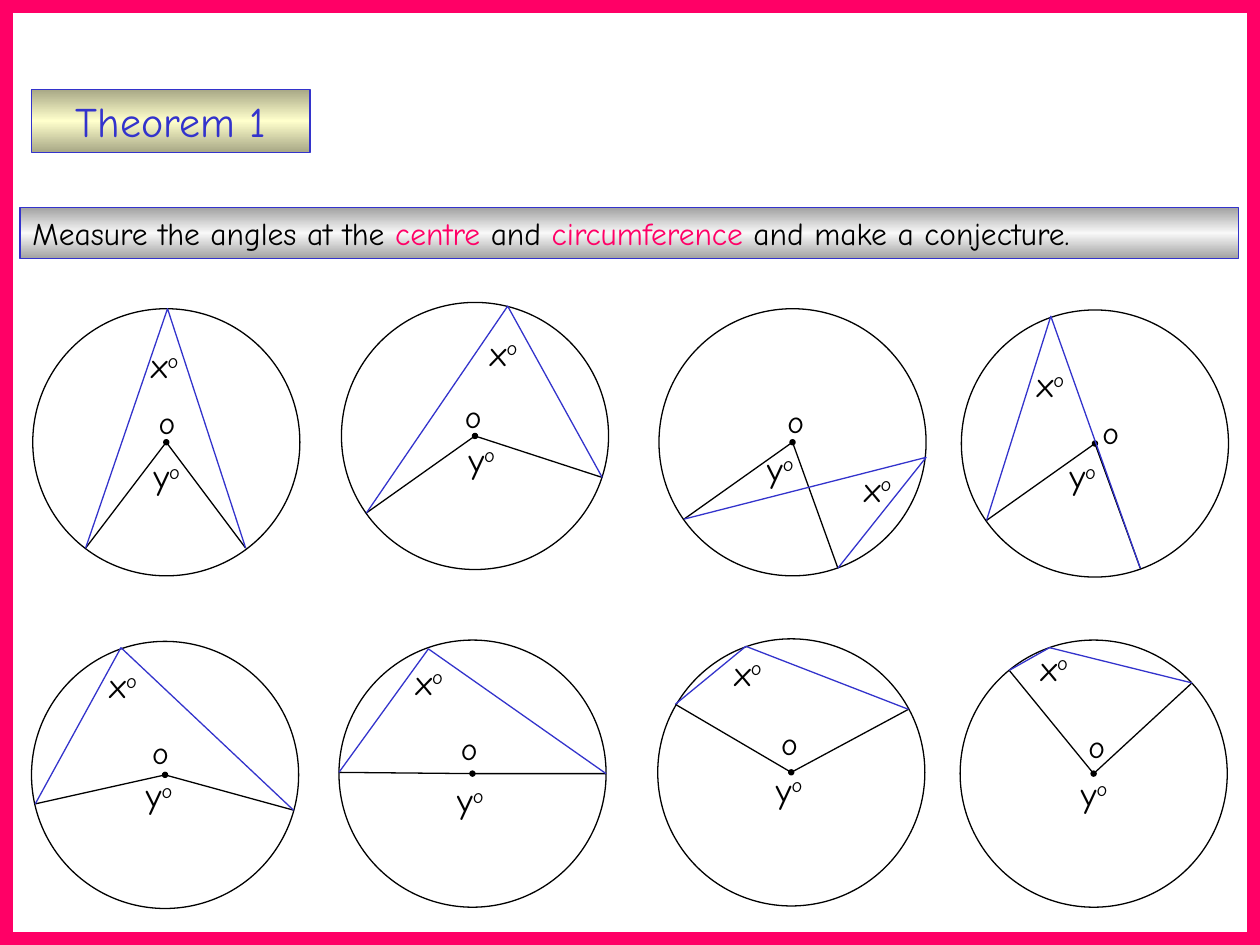
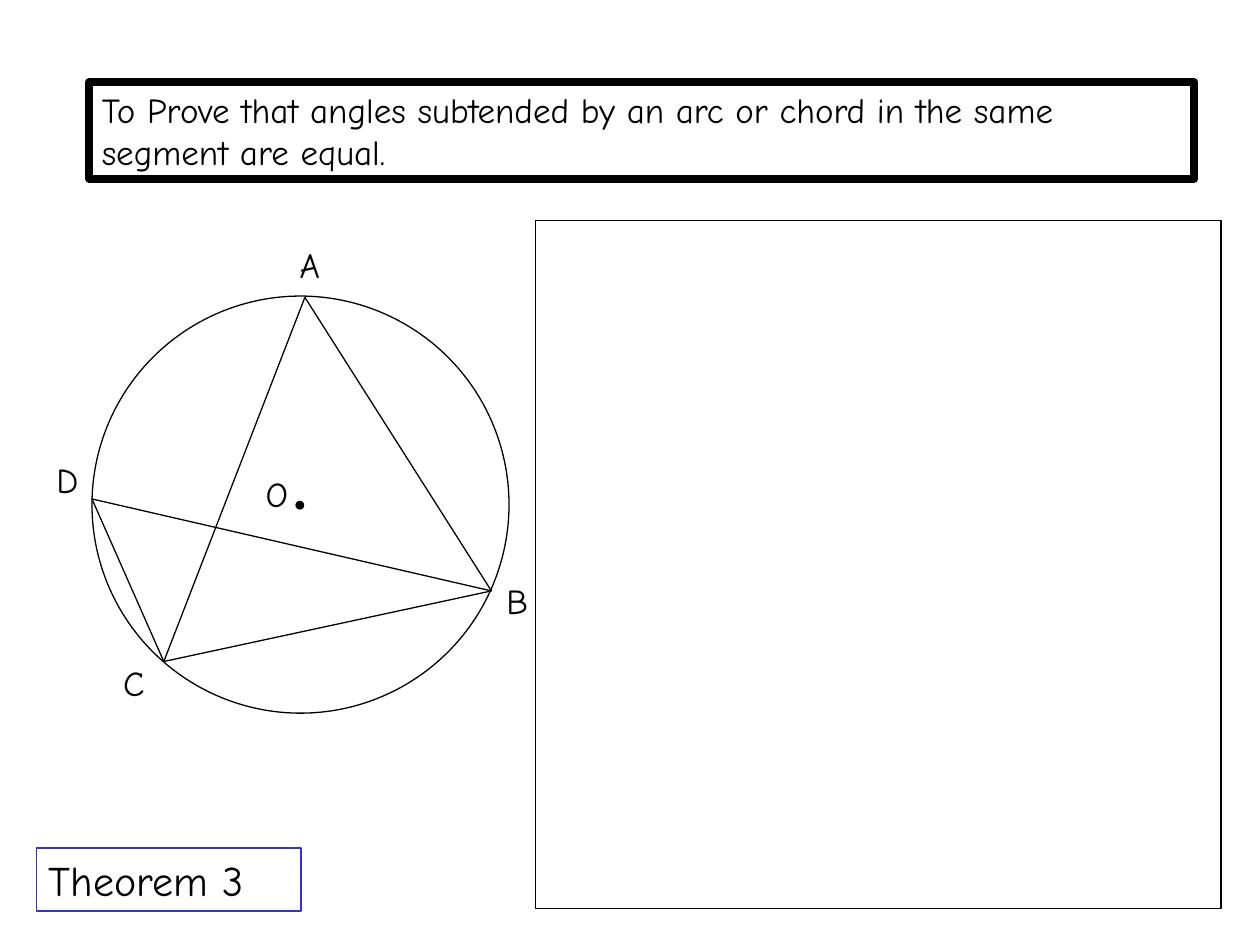
from copy import deepcopy
from dataclasses import dataclass

from pptx import Presentation
from pptx.dml.color import RGBColor
from pptx.enum.shapes import MSO_CONNECTOR, MSO_SHAPE
from pptx.enum.text import PP_ALIGN
from pptx.oxml.ns import qn
from pptx.util import Inches, Pt
from lxml import etree

RECT, OVAL = MSO_SHAPE.RECTANGLE, MSO_SHAPE.OVAL
STRAIGHT = MSO_CONNECTOR.STRAIGHT
LEFT, CENTER = PP_ALIGN.LEFT, PP_ALIGN.CENTER


@dataclass(frozen=True)
class Theme:
    font: str = "Comic Neue"
    black: str = "000000"
    blue: str = "3333CC"
    pink: str = "FF0066"
    cream: tuple = ("A8A886", "FFFFCC", "A8A886")
    silver: tuple = ("A3A3A3", "F8F8F8", "A3A3A3")
    title: int = 24
    body: int = 20
    small: int = 18
    thin: float = 0.75
    thick: float = 4.5
    frame: float = 15


THEME = Theme()


def add_outlined(slide, kind, box, line=THEME.black, weight=THEME.thin, fill=None):
    """Add a preset shape; fill is None, one colour, or three vertical gradient stops."""
    shape = slide.shapes.add_shape(kind, *map(Inches, box))
    shape.shadow.inherit = False
    shape.line.color.rgb = RGBColor.from_string(line)
    shape.line.width = Pt(weight)
    if fill is None:
        shape.fill.background()
    elif isinstance(fill, str):
        shape.fill.solid()
        shape.fill.fore_color.rgb = RGBColor.from_string(fill)
    else:
        shape.fill.gradient()
        shape.fill.gradient_angle = 270
        stop_list = shape._element.spPr.find(qn("a:gradFill")).find(qn("a:gsLst"))
        stop_list.insert(1, deepcopy(stop_list[0]))
        for stop, position, color in zip(shape.fill.gradient_stops, (0, 0.5, 1), fill):
            stop.position = position
            stop.color.rgb = RGBColor.from_string(color)
    return shape


def write(shape, size, *parts, align=LEFT):
    """Fill a shape with one paragraph of (text, colour, is superscript) parts."""
    frame = shape.text_frame
    frame.word_wrap = True
    frame.vertical_anchor = None
    paragraph = frame.paragraphs[0]
    paragraph.alignment = align
    paragraph.font.name = THEME.font
    paragraph.font.size = Pt(size)
    for text, color, raised in parts:
        run = paragraph.add_run()
        run.text = text
        run.font.color.rgb = RGBColor.from_string(color)
        if raised:
            run._r.get_or_add_rPr().set("baseline", "30000")


deck = Presentation()
deck.slide_width, deck.slide_height = Inches(10), Inches(7.5)
blank = deck.slide_layouts[6]

# Theorem 1: angles at the centre and the circumference
conjecture = deck.slides.add_slide(blank)
heading = add_outlined(conjecture, RECT, (0.25, 0.71, 2.21, 0.5), THEME.blue, fill=THEME.cream)
write(heading, THEME.title, ("Theorem 1", THEME.blue, False), align=CENTER)
task = add_outlined(conjecture, RECT, (0.16, 1.65, 9.67, 0.4), THEME.blue, fill=THEME.silver)
write(task, THEME.small,
      ("Measure the angles at the ", THEME.black, False),
      ("centre", THEME.pink, False),
      (" and ", THEME.black, False),
      ("circumference ", THEME.pink, False),
      ("and make a conjecture.", THEME.black, False))

DIAMETER, DOT = 2.12, 0.04
# circle corner, arc start, apex, arc end, then the places of the x, y and o labels
figures = [
    ((0.26, 2.45), (0.68, 4.35), (1.33, 2.45), (1.95, 4.35), (1.1, 2.68), (1.12, 3.56), (1.16, 3.15)),
    ((2.71, 2.4), (2.91, 4.07), (4.03, 2.43), (4.78, 3.79), (3.79, 2.58), (3.62, 3.43), (3.59, 3.1)),
    ((5.23, 2.45), (5.43, 4.12), (7.35, 3.63), (6.65, 4.51), (6.76, 3.66), (5.99, 3.5), (6.15, 3.14)),
    ((7.63, 2.46), (7.83, 4.13), (8.34, 2.51), (9.05, 4.51), (8.13, 2.83), (8.39, 3.56), (8.65, 3.23)),
    ((0.25, 5.09), (0.28, 6.38), (0.96, 5.14), (2.33, 6.43), (0.77, 5.22), (1.06, 6.09), (1.11, 5.77)),
    ((2.69, 5.08), (2.69, 6.13), (3.4, 5.15), (4.81, 6.14), (3.2, 5.19), (3.53, 6.13), (3.56, 5.74)),
    ((5.22, 5.07), (5.36, 5.59), (5.92, 5.13), (7.21, 5.63), (5.73, 5.12), (6.06, 6.05), (6.1, 5.7)),
    ((7.62, 5.08), (8.01, 5.32), (8.33, 5.14), (9.46, 5.42), (8.16, 5.08), (8.48, 6.08), (8.54, 5.72)),
]
for corner, start, apex, end, x_at, y_at, o_at in figures:
    centre = [side + DIAMETER / 2 for side in corner]
    add_outlined(conjecture, OVAL, (*corner, DIAMETER, DIAMETER))
    add_outlined(conjecture, OVAL, (*(c - DOT / 2 for c in centre), DOT, DOT), fill=THEME.black)
    for vertex, color in ((centre, THEME.black), (apex, THEME.blue)):
        builder = conjecture.shapes.build_freeform(*map(Inches, start))
        builder.add_line_segments([tuple(map(Inches, p)) for p in (vertex, end)], close=False)
        angle = builder.convert_to_shape()
        angle.shadow.inherit = False
        angle.fill.background()
        angle.line.color.rgb = RGBColor.from_string(color)
        angle.line.width = Pt(THEME.thin)
    for letter, place in (("x", x_at), ("y", y_at)):
        angle_label = conjecture.shapes.add_textbox(*map(Inches, (*place, 0.48, 0.44)))
        write(angle_label, THEME.body, (letter, THEME.black, False), ("o", THEME.black, True))
    centre_label = conjecture.shapes.add_textbox(*map(Inches, (*o_at, 0.35, 0.4)))
    write(centre_label, THEME.small, ("o", THEME.black, False))

add_outlined(conjecture, RECT, (0, 0, 10, 7.5), THEME.pink, THEME.frame)

# Theorem 3: angles in the same segment
proof = deck.slides.add_slide(blank)
statement = add_outlined(proof, RECT, (0.71, 0.65, 8.77, 0.77), weight=THEME.thick)
write(statement, THEME.body,
      ("To Prove that angles subtended by an arc or chord in the same segment are equal.",
       THEME.black, False))
theorem = add_outlined(proof, RECT, (0.29, 6.73, 2.1, 0.5), THEME.blue)
write(theorem, THEME.title, ("Theorem 3", THEME.black, False))

add_outlined(proof, OVAL, (0.73, 2.35, 3.31, 3.31))
add_outlined(proof, OVAL, (2.35, 3.98, 0.06, 0.06), fill=THEME.black)
points = {"A": (2.42, 2.36), "B": (3.9, 4.69), "C": (1.3, 5.25), "D": (0.73, 3.96)}
for first, second in ("CD", "CA", "AB", "CB", "BD"):
    chord = proof.shapes.add_connector(
        STRAIGHT, *map(Inches, (*points[first], *points[second])))
    chord.line.color.rgb = RGBColor.from_string(THEME.black)
    chord.line.width = Pt(THEME.thin)
    etree.SubElement(chord._element.spPr, qn("a:effectLst"))

point_labels = {"A": (2.28, 1.88), "O": (2.01, 3.7), "C": (0.88, 5.2),
                "B": (3.92, 4.55), "D": (0.35, 3.59)}
for letter, place in point_labels.items():
    point_label = proof.shapes.add_textbox(*map(Inches, (*place, 0.43, 0.44)))
    write(point_label, THEME.body, (letter, THEME.black, False))

# Empty working area for the proof
add_outlined(proof, RECT, (4.25, 1.75, 5.44, 5.46))

deck.save("out.pptx")
